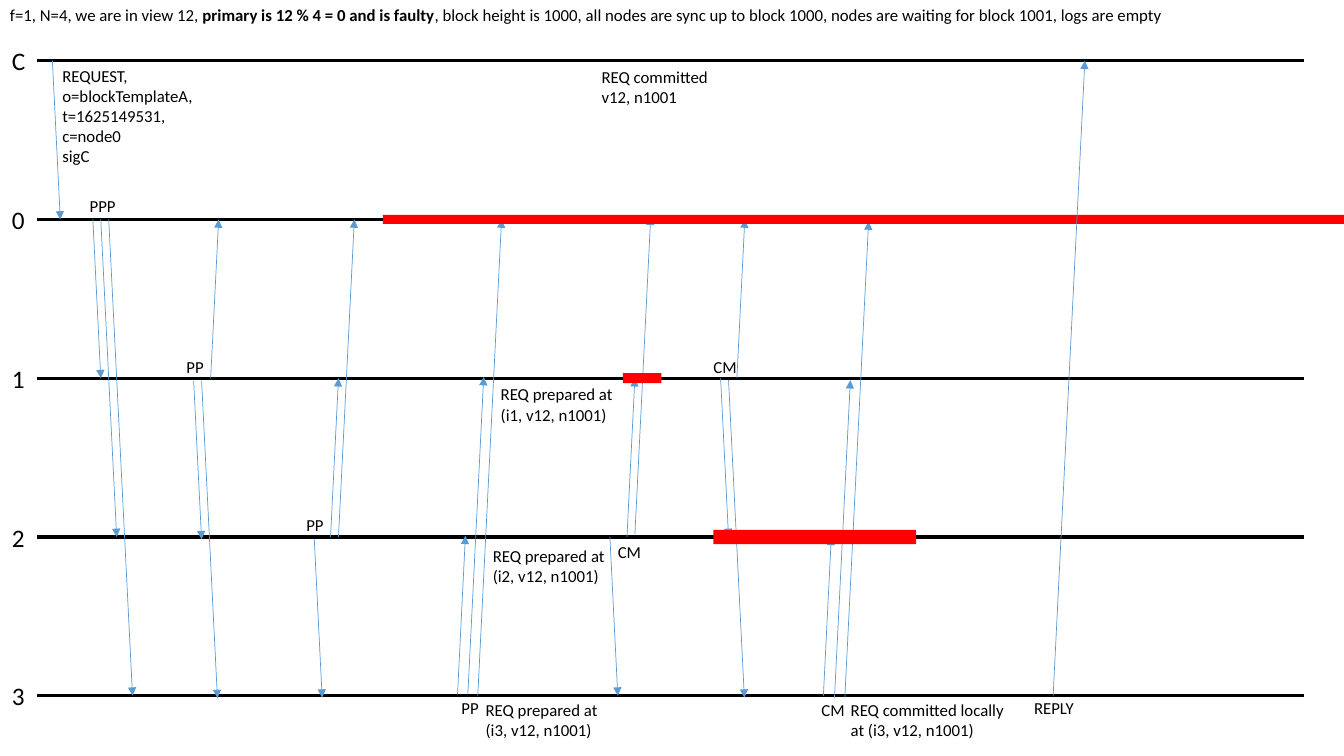
"""Build a slide showing a consensus message sequence with a faulty primary."""
from lxml import etree
from pptx import Presentation
from pptx.dml.color import RGBColor
from pptx.enum.shapes import MSO_CONNECTOR, MSO_SHAPE
from pptx.enum.text import MSO_ANCHOR, PP_ALIGN
from pptx.oxml.ns import qn
from pptx.util import Cm, Pt

STRAIGHT, RECTANGLE = MSO_CONNECTOR.STRAIGHT, MSO_SHAPE.RECTANGLE
TOP, LEFT = MSO_ANCHOR.TOP, PP_ALIGN.LEFT
FONT = "Calibri"
COLORS = {"text": "000000", "lane": "000000", "message": "5B9BD5",
          "fault": "FF0000", "paper": "FFFFFF"}

SCENARIO = [
    ("f=1, N=4, we are in view 12, ", False),
    ("primary is 12 % 4 = 0 and is faulty", True),
    (", block height is 1000, all nodes are sync up to block 1000, "
     "nodes are waiting for block 1001, logs are empty", False),
]
LANES = ["C", "0", "1", "2", "3"]

BROADCASTS = [
    ("C", [("0", 1.32, 0)]),
    ("0", [("1", 2.34, 0), ("2", 2.54, 0), ("3", 2.74, 0)]),
    ("1", [("2", 4.88, 0.06), ("3", 5.08, 0.06), ("0", 5.31, 0)]),
    ("2", [("3", 7.92, 0.05), ("1", 8.33, 0), ("0", 8.53, 0)]),
    ("1", [("2", 18.16, 0), ("3", 18.36, 0.05), ("0", 18.57, 0)]),
    ("2", [("3", 15.37, 0), ("1", 15.8, 0), ("0", 16, -0.07)]),
    ("3", [("2", 11.53, -0.03), ("1", 11.79, -0.03), ("0", 12.04, 0)]),
    ("3", [("2", 20.75, 0), ("1", 21.03, 0.05), ("0", 21.29, 0.05)]),
]
REPLY = ("3", "C", 26.54, 0)

CAPTIONS = [
    ("REQUEST,\no=blockTemplateA,\nt=1625149531,\nc=node0\nsigC", 1.57, 1.65, 3.43),
    ("PPP", 2.26, 4.93, 0.75),
    ("PP", 4.7, 8.99, 0.55),
    ("PP", 7.72, 12.98, 0.55),
    ("CM", 17.98, 8.99, 0.7),
]
NOTES = [
    ("CM", 15.57, 13.64, 0.7),
    ("PP", 11.63, 17.58, 0.55),
    ("CM", 20.7, 17.63, 0.7),
    ("REPLY", 26.06, 17.58, 1.15),
    ("REQ committed locally at (i3, v12, n1001)", 21.44, 17.63, 4.01),
    ("REQ prepared at (i3, v12, n1001)", 12.24, 17.63, 2.95),
    ("REQ prepared at (i2, v12, n1001)", 12.42, 13.74, 2.95),
    ("REQ prepared at (i1, v12, n1001)", 12.62, 9.68, 2.95),
    ("REQ committed v12, n1001", 15.16, 1.68, 2.95),
]
FAULTS = [("2", 17.98, 5.11, 0.36), ("1", 15.7, 0.97, 0.25), ("0", 9.65, 24.79, 0.23)]

LANE_LEFT, LANE_RIGHT = 0.94, 32.87
FIRST_LANE, LANE_GAP = 1.53, 4
DRIFT_PER_LANE = 0.2
LINE_HEIGHT = 0.51


def lane_y(name):
    return FIRST_LANE + LANE_GAP * LANES.index(name)


def color(role):
    return RGBColor.from_string(COLORS[role])


def draw_line(slide, start, end, role, weight):
    line = slide.shapes.add_connector(STRAIGHT, *(Cm(v) for v in start + end))
    line.line.color.rgb = color(role)
    line.line.width = Pt(weight)
    etree.SubElement(line._element.spPr, qn("a:effectLst"))
    return line


def draw_message(slide, sender, receiver, x, shift):
    start_y, end_y = lane_y(sender), lane_y(receiver)
    end_x = x + DRIFT_PER_LANE * abs(end_y - start_y) / LANE_GAP
    arrow = draw_line(slide, (x, start_y + shift), (end_x, end_y + shift), "message", 0.5)
    etree.SubElement(arrow.line._get_or_add_ln(), qn("a:tailEnd"), type="triangle")


def format_frame(frame, size, wrap):
    frame.margin_left = frame.margin_right = frame.margin_top = frame.margin_bottom = 0
    frame.word_wrap = wrap
    frame.vertical_anchor = TOP
    for paragraph in frame.paragraphs:
        paragraph.alignment = LEFT
        for run in paragraph.runs:
            run.font.name, run.font.size = FONT, Pt(size)
            run.font.color.rgb = color("text")


def draw_label(slide, text, left, top, width, height, size=12, wrap=False):
    label = slide.shapes.add_textbox(Cm(left), Cm(top), Cm(width), Cm(height))
    label.text_frame.text = text
    format_frame(label.text_frame, size, wrap)
    return label


def draw_scenario(slide):
    title = slide.shapes.title
    title.left, title.top, title.width, title.height = Cm(0.25), Cm(0.13), Cm(29.4), Cm(LINE_HEIGHT)
    for text, bold in SCENARIO:
        run = title.text_frame.paragraphs[0].add_run()
        run.text, run.font.bold = text, bold
    format_frame(title.text_frame, 12, False)


def main():
    deck = Presentation()
    deck.slide_width, deck.slide_height = Cm(33.87), Cm(19.05)
    slide = deck.slides.add_slide(deck.slide_layouts[5])
    draw_scenario(slide)

    for name in LANES:
        y = lane_y(name)
        draw_line(slide, (LANE_LEFT, y), (LANE_RIGHT, y), "lane", 2.25)
        draw_label(slide, name, 0.3, y - 0.38, 0.34, 0.76, size=18)

    for sender, messages in BROADCASTS:
        for receiver, x, shift in messages:
            draw_message(slide, sender, receiver, x, shift)

    for text, left, top, width in CAPTIONS:
        draw_label(slide, text, left, top, width, LINE_HEIGHT * len(text.split("\n")))
    for text, left, top, width in NOTES:
        wraps = " " in text
        note = draw_label(slide, text, left, top, width, LINE_HEIGHT * (1 + wraps), wrap=wraps)
        note.fill.solid()
        note.fill.fore_color.rgb = color("paper")

    for name, left, width, thickness in FAULTS:
        fault = slide.shapes.add_shape(RECTANGLE, Cm(left), Cm(lane_y(name) - thickness / 2),
                                       Cm(width), Cm(thickness))
        fault.shadow.inherit = False
        fault.fill.solid()
        fault.fill.fore_color.rgb = color("fault")
        fault.line.fill.background()

    draw_message(slide, *REPLY)
    deck.save("out.pptx")


if __name__ == "__main__":
    main()
